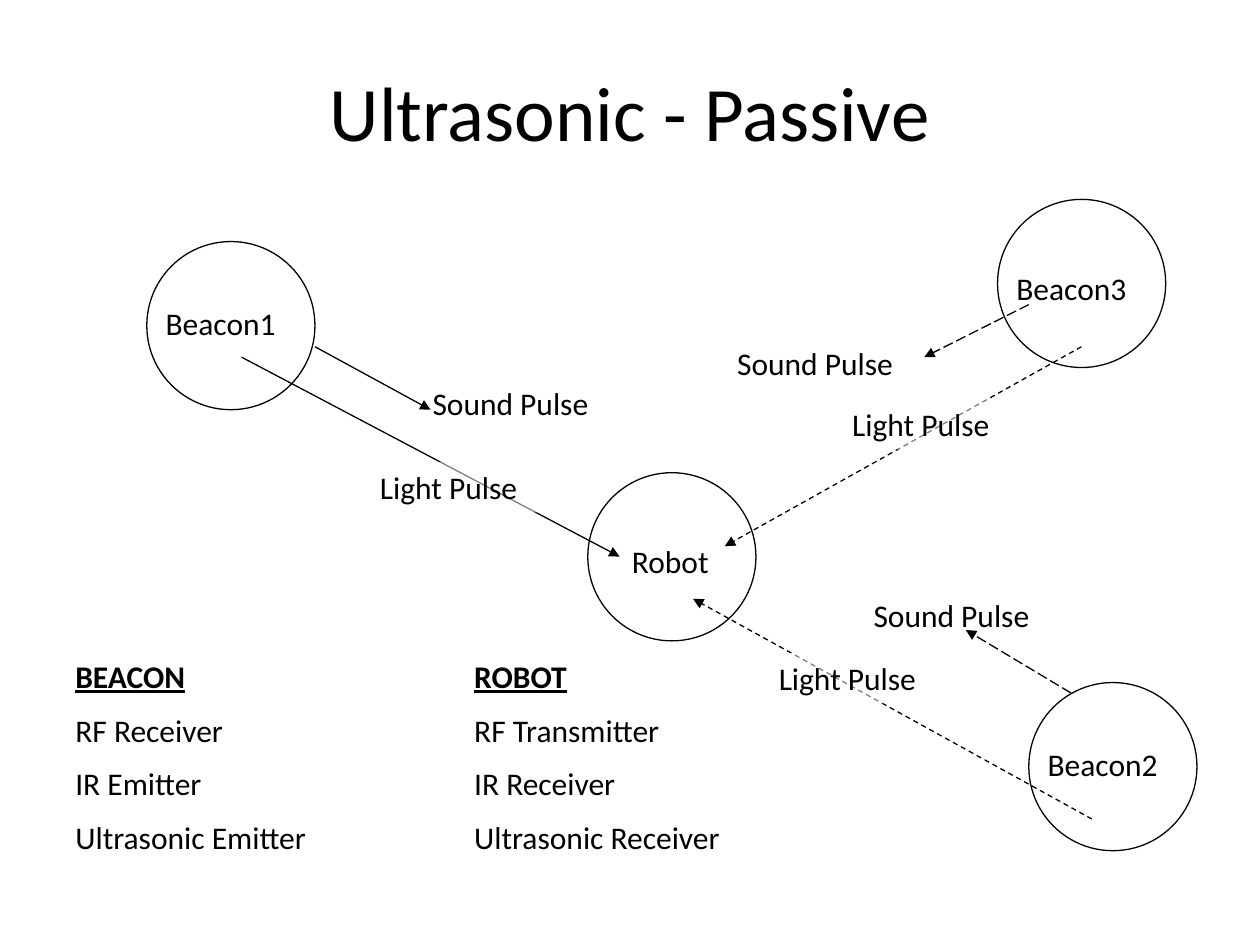
"""Build the slide on passive ultrasonic beacons and a robot."""
import pptx
import pptx.dml.color
import pptx.enum.dml
import pptx.enum.shapes
import pptx.enum.text
import pptx.util
from lxml import etree
from pptx.util import Cm

BLACK, WHITE = "000000", "FFFFFF"
DIAMETER, LABEL_HEIGHT, LINE_WIDTH = 3.39, 1.02, 0.75
TITLE = "Ultrasonic - Passive"

# name, circle left, circle top, label offset x, label offset y, label width
STATIONS = [
    ("Beacon1", 2.96, 4.87, 0.13, 1.14, 3.07),
    ("Beacon2", 20.74, 13.76, 0.13, 1.14, 3.07),
    ("Robot", 11.85, 9.53, 0.64, 1.27, 2.54),
    ("Beacon3", 20.11, 4.02, 0.13, 1.27, 3.07),
]
# start x, start y, tip x, tip y, dash
PULSES = [
    (6.35, 6.99, 8.68, 8.26, None),
    (21.59, 13.97, 19.47, 12.7, "LONG_DASH"),
    (20.74, 6.14, 18.63, 7.2, "LONG_DASH"),
    (4.87, 7.2, 12.49, 11.22, None),
    (22.01, 16.51, 13.97, 12.07, "DASH"),
    (21.8, 6.99, 14.61, 11.01, "DASH"),
]
SOUND_LABELS = [(17.36, 11.9), (8.47, 7.62), (14.61, 6.82)]
LIGHT_LABELS = [(15.45, 13.16), (16.93, 8.04), (7.41, 9.31)]
# left, width, heading, parts
EQUIPMENT = [
    (1.27, 5.72, "BEACON", ["RF Receiver", "IR Emitter", "Ultrasonic Emitter"]),
    (9.31, 6.35, "ROBOT", ["RF Transmitter", "IR Receiver", "Ultrasonic Receiver"]),
]


def paint(color_format, color):
    color_format.rgb = pptx.dml.color.RGBColor.from_string(color)


def write(paragraph, text, size=18, bold=False, underline=False, align="LEFT", before=0):
    paragraph.text = text
    paragraph.alignment = getattr(pptx.enum.text.PP_ALIGN, align)
    paragraph.space_before = pptx.util.Pt(before)
    font = paragraph.font
    font.name, font.size = "Calibri", pptx.util.Pt(size)
    font.bold, font.underline = bold, underline
    paint(font.color, BLACK)


def add_circle(slide, left, top):
    shape = slide.shapes.add_shape(
        pptx.enum.shapes.MSO_SHAPE.OVAL, Cm(left), Cm(top), Cm(DIAMETER), Cm(DIAMETER))
    shape.shadow.inherit = False
    shape.fill.solid()
    paint(shape.fill.fore_color, WHITE)
    paint(shape.line.color, BLACK)
    shape.line.width = pptx.util.Pt(LINE_WIDTH)


def add_arrow(slide, start_x, start_y, tip_x, tip_y, dash):
    connector = slide.shapes.add_connector(
        pptx.enum.shapes.MSO_CONNECTOR.STRAIGHT,
        Cm(start_x), Cm(start_y), Cm(tip_x), Cm(tip_y))
    paint(connector.line.color, BLACK)
    connector.line.width = pptx.util.Pt(LINE_WIDTH)
    if dash:
        connector.line.dash_style = getattr(pptx.enum.dml.MSO_LINE, dash)
    name = pptx.oxml.ns.qn
    properties = connector._element.spPr
    etree.SubElement(properties.find(name("a:ln")), name("a:tailEnd"), type="triangle")
    etree.SubElement(properties, name("a:effectLst"))


def add_label(slide, lines, left, top, width, height=LABEL_HEIGHT, veiled=False, headed=False):
    shape = slide.shapes.add_textbox(Cm(left), Cm(top), Cm(width), Cm(height))
    if veiled:
        shape.fill.solid()
        paint(shape.fill.fore_color, WHITE)
        color = shape._element.spPr.find(".//" + pptx.oxml.ns.qn("a:srgbClr"))
        etree.SubElement(color, pptx.oxml.ns.qn("a:alpha"), val="50000")
    frame = shape.text_frame
    frame.word_wrap = True
    for index, line in enumerate(lines):
        paragraph = frame.add_paragraph() if index else frame.paragraphs[0]
        heading = headed and index == 0
        write(paragraph, line, bold=heading, underline=heading, before=9 if index else 0)


def main():
    presentation = pptx.Presentation()
    presentation.slide_width, presentation.slide_height = Cm(25.4), Cm(19.05)
    slide = presentation.slides.add_slide(presentation.slide_layouts[5])

    title = slide.shapes.title
    title.left, title.top, title.width, title.height = Cm(1.27), Cm(0.64), Cm(22.86), Cm(3.18)
    title.text_frame.vertical_anchor = pptx.enum.text.MSO_ANCHOR.MIDDLE
    write(title.text_frame.paragraphs[0], TITLE, size=44, align="CENTER")

    for name, left, top, offset_x, offset_y, width in STATIONS:
        add_circle(slide, left, top)
        add_label(slide, [name], left + offset_x, top + offset_y, width)
    for pulse in PULSES:
        add_arrow(slide, *pulse)
    for left, top in SOUND_LABELS:
        add_label(slide, ["Sound Pulse"], left, top, 4.45)
    for left, top in LIGHT_LABELS:
        add_label(slide, ["Light Pulse"], left, top, 3.81, veiled=True)
    for left, width, heading, parts in EQUIPMENT:
        add_label(slide, [heading, *parts], left, 13.12, width, 4.47, veiled=True, headed=True)

    presentation.save("out.pptx")


if __name__ == "__main__":
    main()
